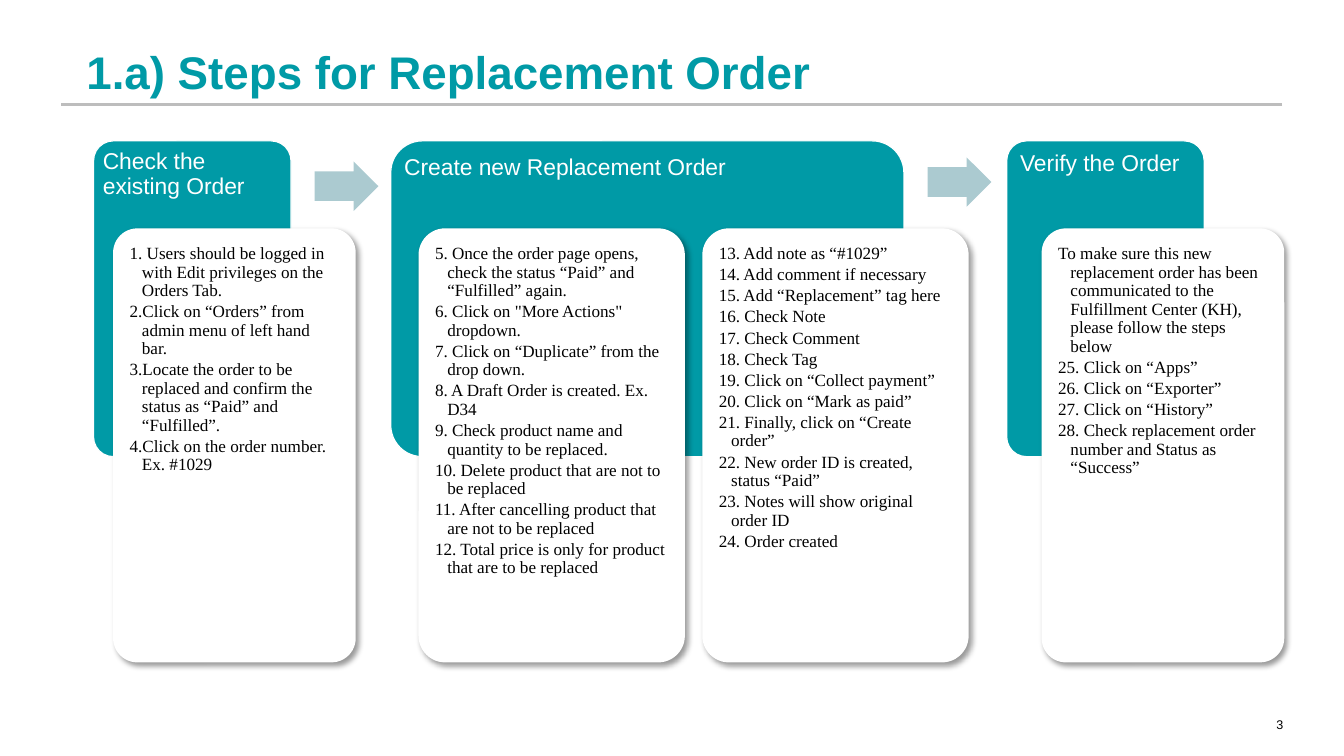
from lxml import etree
from pptx import Presentation
from pptx.dml.color import RGBColor
from pptx.enum.shapes import MSO_CONNECTOR as CONN, MSO_SHAPE as SHAPE
from pptx.enum.text import MSO_ANCHOR as ANCHOR, PP_ALIGN as ALIGN
from pptx.oxml import parse_xml
from pptx.oxml.ns import nsdecls, qn
from pptx.util import Inches, Pt

TEAL, PALE, GREY, WHITE, BLACK = "009AA6", "ABCAD0", "BDBDBD", "FFFFFF", "000000"
SANS, SERIF = "Arial", "Times New Roman"
PANEL_TOP, PANEL_H = 1.37, 3.07
CARD_DROP, CARD_H, CARD_PAD = 0.85, 4.22, 0.07
HANG = 0.12

CHECK = [
    " Users should be logged in with Edit privileges on the Orders Tab.",
    "Click on “Orders” from admin menu of left hand bar.",
    "Locate the order to be replaced and confirm the status as “Paid” and “Fulfilled”.",
    "Click on the order number. Ex. #1029",
]
DUPLICATE = [
    "5. Once the order page opens, check the status “Paid” and “Fulfilled” again.",
    '6. Click on "More Actions" dropdown.',
    "7. Click on “Duplicate” from the drop down.",
    "8. A Draft Order is created. Ex. D34",
    "9. Check product name and quantity to be replaced.",
    "10. Delete product that are not to be replaced",
    "11. After cancelling product that are not to be replaced",
    "12. Total price is only for product that are to be replaced",
]
COMPLETE = [
    "13. Add note as “#1029”",
    "14. Add comment if necessary",
    "15. Add “Replacement” tag here",
    "16. Check Note",
    "17. Check Comment",
    "18. Check Tag",
    "19. Click on “Collect payment”",
    "20. Click on “Mark as paid”",
    "21. Finally, click on “Create order”",
    "22. New order ID is created, status “Paid”",
    "23. Notes will show original order ID",
    "24. Order created",
]
VERIFY = [
    "To make sure this new replacement order has been communicated to the "
    "Fulfillment Center (KH), please follow the steps below",
    "25. Click on “Apps”",
    "26. Click on “Exporter”",
    "27. Click on “History”",
    "28. Check replacement order number and Status as “Success”",
]

# Panel left and width, heading and its offset, then cards as (offset, width, steps, numbered)
STAGES = [
    (0.91, 1.92, "Check the existing Order", (0, 0), [(0.19, 2.36, CHECK, True)]),
    (3.8, 4.99, "Create new Replacement Order", (0.04, 0.05),
     [(0.27, 2.59, DUPLICATE, False), (3.03, 2.59, COMPLETE, False)]),
    (9.79, 1.92, "Verify the Order", (0.04, 0.02), [(0.34, 2.36, VERIFY, False)]),
]
ARROWS = [(3.06, 1.57), (9.02, 1.53)]


def rgb(value):
    return RGBColor.from_string(value)


def add_text(s, box, lines, size, color, font=SANS, bold=False, insets=(0, 0, 0, 0),
             anchor=ANCHOR.TOP, **para):
    """Add a text box with one paragraph per line and return its paragraphs."""
    tf = s.shapes.add_textbox(*map(Inches, box)).text_frame
    tf.word_wrap, tf.vertical_anchor = True, anchor
    for side, inset in zip(("left", "top", "right", "bottom"), insets):
        setattr(tf, f"margin_{side}", Inches(inset))
    for i, line in enumerate(lines):
        p = tf.add_paragraph() if i else tf.paragraphs[0]
        for name, value in para.items():
            setattr(p, name, value)
        r = p.add_run()
        r.text = line
        for name, value in {"size": Pt(size), "name": font, "bold": bold}.items():
            setattr(r.font, name, value)
        r.font.color.rgb = rgb(color)
    return tf.paragraphs


def add_block(s, kind, box, fill, adjustments, line=None):
    sp = s.shapes.add_shape(kind, *map(Inches, box))
    sp.shadow.inherit = False
    for i, value in enumerate(adjustments):
        sp.adjustments[i] = value
    sp.fill.solid()
    sp.fill.fore_color.rgb = rgb(fill)
    if line:
        sp.line.color.rgb = rgb(line)
        sp.line.width = Pt(0.85)
    else:
        sp.line.fill.background()
    return sp


def add_drop_shadow(sp):
    effects = sp._element.spPr.find(qn("a:effectLst"))
    effects.append(parse_xml(
        f'<a:outerShdw {nsdecls("a")} blurRad="{Pt(4)}" dist="{Pt(3)}" dir="2700000" '
        'algn="tl" rotWithShape="0"><a:srgbClr val="000000"><a:alpha val="40000"/>'
        '</a:srgbClr></a:outerShdw>'))


def add_header(s, left, top, width):
    """Title resting just above a full-width rule."""
    add_text(s, (left + 0.25, top, width - 0.25, 0.78), ["1.a) Steps for Replacement Order"],
             32, TEAL, bold=True, anchor=ANCHOR.BOTTOM)
    rule_y = Inches(top + 0.84)
    rule = s.shapes.add_connector(CONN.STRAIGHT, Inches(left + width), rule_y,
                                  Inches(left), rule_y)
    rule.line.color.rgb = rgb(GREY)
    rule.line.width = Pt(2.25)
    etree.SubElement(rule._element.spPr, qn("a:effectLst"))


def add_card(s, left, top, width, height, steps, numbered):
    add_drop_shadow(add_block(s, SHAPE.ROUNDED_RECTANGLE, (left, top, width, height),
                              WHITE, [0.1]))
    inner = (left + CARD_PAD, top + CARD_PAD, width - 2 * CARD_PAD, height - 2 * CARD_PAD)
    paragraphs = add_text(s, inner, steps, 12, BLACK, SERIF, insets=(0.09,) * 4,
                          line_spacing=0.9, space_after=Pt(1.8))
    for p in paragraphs:
        pPr = p._p.get_or_add_pPr()
        pPr.set("marL", str(Inches(HANG)))
        pPr.set("indent", str(-Inches(HANG)))
        if numbered:
            etree.SubElement(pPr, qn("a:buAutoNum"), type="arabicPeriod")
        else:
            etree.SubElement(pPr, qn("a:buNone"))


def add_stage(s, left, top, width, heading, offset, cards):
    """Coloured panel with a heading and the step cards that overlap it."""
    add_block(s, SHAPE.ROUNDED_RECTANGLE, (left, top, width, PANEL_H), TEAL, [0.1], WHITE)
    dx, dy = offset
    add_text(s, (left + dx, top + dy, width, 0.77), [heading], 16, WHITE,
             insets=(0.09, 0.09, 0.09, 0.05), line_spacing=0.9)
    for card_dx, card_w, steps, numbered in cards:
        add_card(s, left + card_dx, top + CARD_DROP, card_w, CARD_H, steps, numbered)


def main():
    prs = Presentation()
    prs.slide_width, prs.slide_height = Inches(13.07), Inches(7.35)
    s = prs.slides.add_slide(prs.slide_layouts[6])
    add_header(s, 0.59, 0.18, 11.88)
    for left, width, heading, offset, cards in STAGES:
        add_stage(s, left, PANEL_TOP, width, heading, offset, cards)
    for left, top in ARROWS:
        add_block(s, SHAPE.RIGHT_ARROW, (left, top, 0.62, 0.48), PALE, [0.6, 0.5])
    add_text(s, (12.13, 6.97, 0.35, 0.15), ["3"], 8.8, BLACK,
             anchor=ANCHOR.BOTTOM, alignment=ALIGN.RIGHT)
    prs.save("out.pptx")


if __name__ == "__main__":
    main()
